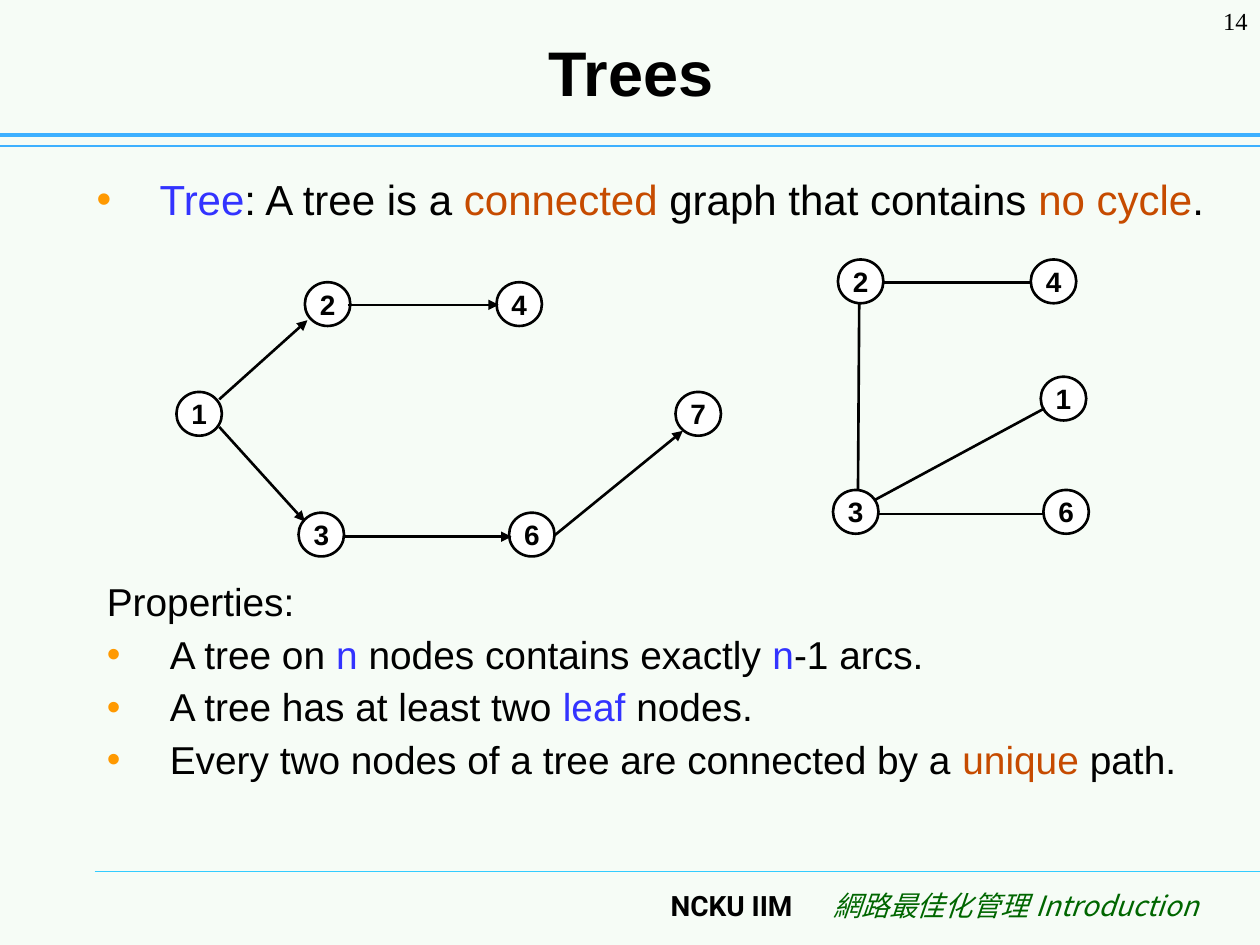
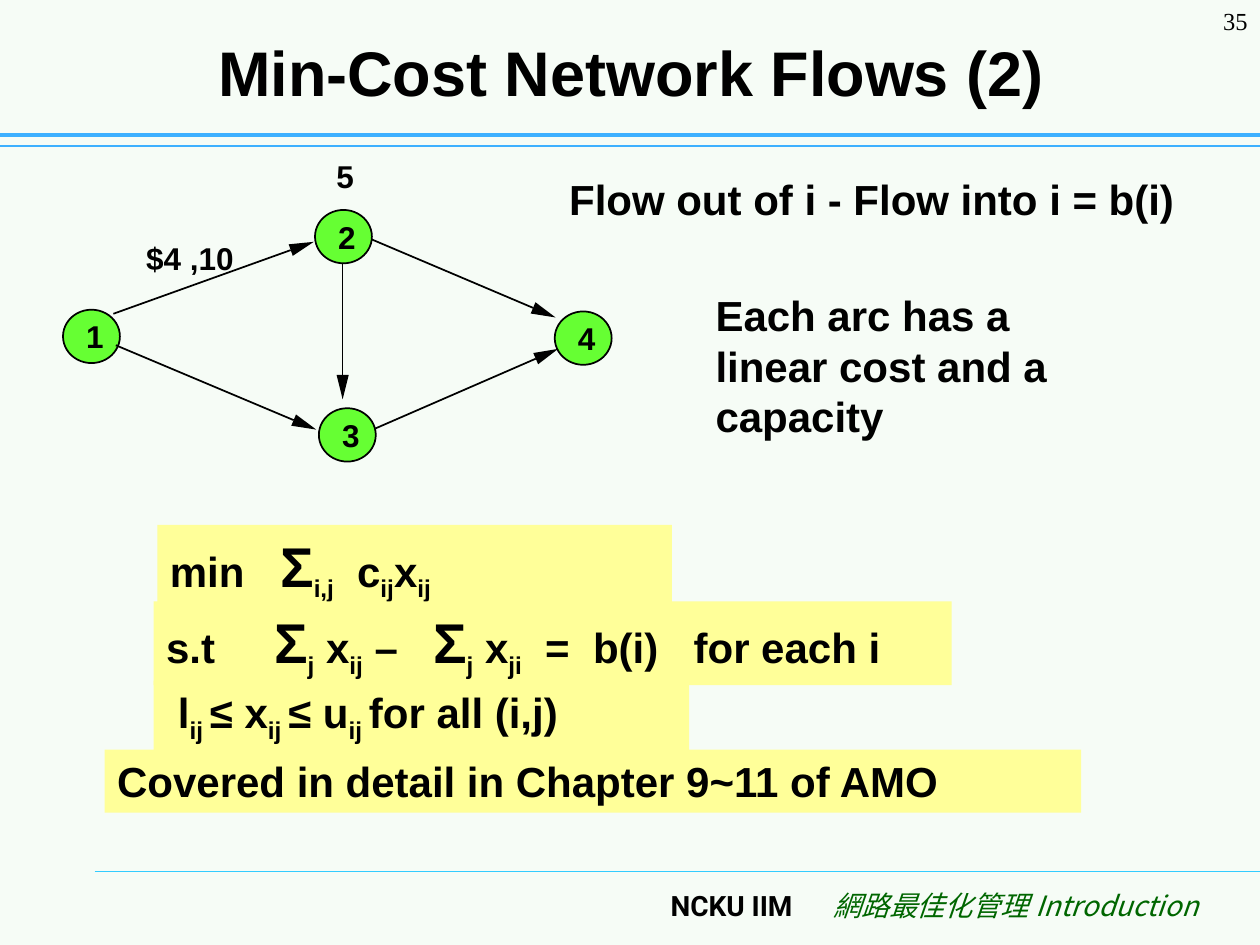
from math import hypot

from lxml import etree
from pptx import Presentation
from pptx.dml.color import RGBColor
from pptx.enum.shapes import MSO_CONNECTOR, MSO_SHAPE
from pptx.enum.text import MSO_ANCHOR, MSO_AUTO_SIZE, PP_ALIGN
from pptx.oxml.ns import qn
from pptx.util import Pt

LINE = MSO_CONNECTOR.STRAIGHT
OVAL, RECT = MSO_SHAPE.OVAL, MSO_SHAPE.RECTANGLE
TOP, MID = MSO_ANCHOR.TOP, MSO_ANCHOR.MIDDLE
LEFT, MIDST, RIGHT = PP_ALIGN.LEFT, PP_ALIGN.CENTER, PP_ALIGN.RIGHT

# Colours
PAPER = RGBColor(0xF6, 0xFC, 0xF6)
BLACK = RGBColor(0x00, 0x00, 0x00)
WHITE = RGBColor(0xFF, 0xFF, 0xFF)
SKY = RGBColor(0x3D, 0xB0, 0xFF)
CYAN = RGBColor(0x33, 0xCC, 0xFF)
BLUE = RGBColor(0x33, 0x33, 0xFF)
RUST = RGBColor(0xC6, 0x4B, 0x00)
PINE = RGBColor(0x00, 0x66, 0x00)
LIME = RGBColor(0x66, 0xFF, 0x33)
LEMON = RGBColor(0xFF, 0xFF, 0x99)

# Text formats
PLAIN = {"name": "Arial", "size": Pt(24), "bold": False}
LIST = {**PLAIN, "size": Pt(22.2)}
BOLD = {**PLAIN, "bold": True}
TITLE = {**BOLD, "size": Pt(36)}
NODE = {**BOLD, "size": Pt(16)}
LABEL = {**BOLD, "size": Pt(18)}
PAGE = {"name": "Times New Roman", "size": Pt(14)}
ORG = {"name": "Roboto", "size": Pt(16), "bold": True}
COURSE = {"name": "Noto Sans CJK SC", "size": Pt(16), "italic": True}
KEY = {"color": BLUE}
HOT = {"color": RUST}
GREEN = {"color": PINE}
SUB = {"base": "-25000"}
BIG = {"size": Pt(32)}

INSET = (7.2, 3.6, 7.2, 3.6)
FLUSH = (0, 0, 0, 0)


# ---- Text ----
def add_run(para, part, fmt):
    """A part is a string, or a string with its own format values."""
    text, extra = (part, {}) if isinstance(part, str) else part
    vals = {"color": BLACK, **fmt, **extra}
    color, base = vals.pop("color"), vals.pop("base", None)
    run = para.add_run()
    run.text = text
    for key, val in vals.items():
        setattr(run.font, key, val)
    run.font.color.rgb = color
    props = run.font._element
    if base:
        props.set("baseline", base)
    etree.SubElement(props, qn("a:ea"), typeface=vals["name"])


def add_tabs(para, stops):
    tabs = etree.SubElement(para._p.get_or_add_pPr(), qn("a:tabLst"))
    for stop in stops:
        etree.SubElement(tabs, qn("a:tab"), pos=str(Pt(stop)), algn="l")


def hang(para, dot=True):
    props = para._p.get_or_add_pPr()
    props.set("marL", str(Pt(36)))
    props.set("indent", str(-Pt(36)))
    if dot:
        tint = etree.SubElement(props, qn("a:buClr"))
        etree.SubElement(tint, qn("a:srgbClr"), val="FF9900")
        etree.SubElement(props, qn("a:buFont"), typeface="Arial")
        etree.SubElement(props, qn("a:buChar"), char="•")


def set_frame(frame, inset=INSET, anchor=TOP, wrap=True):
    sides = ("margin_left", "margin_top", "margin_right", "margin_bottom")
    vals = {"word_wrap": wrap, "auto_size": MSO_AUTO_SIZE.NONE,
            "vertical_anchor": anchor, **dict(zip(sides, map(Pt, inset)))}
    for key, val in vals.items():
        setattr(frame, key, val)


def write(frame, parts, fmt, align=LEFT):
    para = frame.paragraphs[0]
    para.alignment = align
    for part in parts:
        add_run(para, part, fmt)
    return para


def add_text(slide, area, parts, fmt, align=LEFT, inset=INSET, wrap=True):
    box = slide.shapes.add_textbox(*map(Pt, area))
    set_frame(box.text_frame, inset, wrap=wrap)
    return write(box.text_frame, parts, fmt, align)


def add_list(slide, area, head, items):
    """A heading with bulleted items below it."""
    box = slide.shapes.add_textbox(*map(Pt, area))
    frame = box.text_frame
    set_frame(frame)
    para = write(frame, [head], LIST)
    hang(para, dot=False)
    para.line_spacing = 0.9
    for parts in items:
        para = frame.add_paragraph()
        hang(para)
        para.line_spacing = 0.9
        para.space_before = Pt(6)
        for part in parts:
            add_run(para, part, LIST)


# ---- Shapes ----
def add_shape(slide, kind, area, fill, width=0):
    shape = slide.shapes.add_shape(kind, *map(Pt, area))
    shape.shadow.inherit = False
    shape.fill.solid()
    shape.fill.fore_color.rgb = fill
    if width:
        shape.line.color.rgb = BLACK
        shape.line.width = Pt(width)
    else:
        shape.line.fill.background()
    return shape


def add_node(slide, text, area, fill, width, fmt, inset=FLUSH):
    shape = add_shape(slide, OVAL, area, fill, width)
    set_frame(shape.text_frame, inset, MID, wrap=False)
    write(shape.text_frame, [text], fmt, MIDST)


def add_band(slide, area, parts, stops=(), indent=0):
    """A yellow band with one line of a model."""
    shape = add_shape(slide, RECT, area, LEMON)
    set_frame(shape.text_frame, (7.2 + indent, *INSET[1:]))
    if stops:
        add_tabs(shape.text_frame.paragraphs[0], stops)
    write(shape.text_frame, parts, BOLD)


def add_line(slide, ends, color=BLACK, width=1.5, arrow=False):
    line = slide.shapes.add_connector(LINE, *map(Pt, ends))
    line.line.color.rgb = color
    line.line.width = Pt(width)
    if arrow:
        etree.SubElement(line.line._get_or_add_ln(), qn("a:tailEnd"), type="triangle")
    etree.SubElement(line._element.spPr, qn("a:effectLst"))


def add_arc(slide, ends, length=14, half=3.5):
    """A thin line that ends in a long, slim arrowhead."""
    x1, y1, x2, y2 = ends
    dist = hypot(x2 - x1, y2 - y1)
    dx, dy = (x2 - x1) / dist, (y2 - y1) / dist
    bx, by = x2 - length * dx, y2 - length * dy
    add_line(slide, (x1, y1, bx, by), width=1)
    path = slide.shapes.build_freeform(Pt(x2), Pt(y2))
    path.add_line_segments([(Pt(bx - s * dy), Pt(by + s * dx)) for s in (half, -half)])
    head = path.convert_to_shape()
    head.shadow.inherit = False
    head.fill.solid()
    head.fill.fore_color.rgb = BLACK
    head.line.fill.background()


def add_graph(slide, nodes, edges, arrow):
    for text, x, y in nodes:
        add_node(slide, text, (x, y, 26, 25), WHITE, 1.5, NODE)
    for ends in edges:
        add_line(slide, ends, arrow=arrow)


# ---- Shared frame ----
def new_slide(deck, title, page):
    slide = deck.slides.add_slide(deck.slide_layouts[5])
    for ends, color, width in (((54, 498.2, 720, 498.2), CYAN, 0.75),
                               ((0, 83.5, 720, 83.5), SKY, 0.75),
                               ((0, 77, 720, 77), SKY, 2.5)):
        add_line(slide, ends, color, width)
    add_text(slide, (340, 504, 120, 36), ["NCKU IIM"], ORG, RIGHT)
    add_text(slide, (452, 504, 240, 36), [("網路最佳化管理 Introduction", GREEN)], COURSE, RIGHT)
    add_text(slide, (660, 0, 60, 36), [page], PAGE, RIGHT)
    head = slide.shapes.title
    head.left, head.top, head.width, head.height = map(Pt, (36.7, 9.4, 648, 62.6))
    set_frame(head.text_frame, anchor=MID)
    write(head.text_frame, [title], TITLE, MIDST)
    return slide


# ---- Slides ----
def trees(deck):
    slide = new_slide(deck, "Trees", "14")
    hang(add_text(slide, (48.2, 95.8, 654, 46),
                  [("Tree", KEY), ": A tree is a ", ("connected", HOT),
                   " graph that contains ", ("no cycle", HOT), "."], PLAIN))

    # Directed tree
    add_graph(slide,
              [("1", 100.8, 224), ("2", 174.2, 161.3), ("4", 283.7, 161.3),
               ("6", 290.9, 293), ("3", 170.6, 293), ("7", 386, 224)],
              [(125.3, 228.2, 175.7, 183), (125.3, 244, 174.2, 298),
               (198.7, 174.2, 285, 174.2), (197.3, 306.7, 292.3, 306.7),
               (316.8, 306, 390.2, 246.2)], arrow=True)

    # Undirected tree
    add_graph(slide,
              [("2", 478.8, 148.3), ("4", 589, 148.3), ("6", 596.2, 280),
               ("3", 476, 280), ("1", 594.7, 215.3)],
              [(491, 172.8, 490.3, 280), (504, 161.3, 589.7, 161.3),
               (501.8, 293.8, 597, 293.8), (597, 233.3, 499.7, 285.8)], arrow=False)

    add_list(slide, (54, 329.8, 648, 139), "Properties:", [
        ["A tree on ", ("n", KEY), " nodes contains exactly ", ("n", KEY), "-1 arcs."],
        ["A tree has at least two ", ("leaf", KEY), " nodes."],
        ["Every two nodes of a tree are connected by a ", ("unique", HOT), " path."]])


def flows(deck):
    slide = new_slide(deck, "Min-Cost Network Flows (2)", "35")
    add_text(slide, (318.2, 95.8, 383.8, 36), ["Flow out of i - Flow into i = b(i)"], BOLD)
    add_text(slide, (401.8, 162, 228.2, 93.6),
             ["Each arc has a linear cost and a capacity"], BOLD)

    # Network
    for text, x, y in (("1", 36, 177), ("2", 180, 120), ("3", 182.2, 233.3),
                       ("4", 317, 178)):
        add_node(slide, text, (x, y, 32.5, 30.5), LIME, 1, LABEL, (4, 0, 0, 0))
    for ends in ((64.8, 179.3, 179.3, 138.2), (66.2, 197.3, 180.7, 245.5),
                 (212.4, 136.8, 317.5, 181.4), (214.6, 244.8, 319, 199.4),
                 (195.8, 150.5, 195.8, 228.2)):
        add_arc(slide, ends)
    for text, area in (("$4 ,10", (83.5, 136.8, 50.4, 21.6)),
                       ("5", (192.2, 90, 10, 21.6))):
        add_text(slide, area, [text], LABEL, inset=FLUSH, wrap=False)

    # Model
    sigma, ij, j = ("Σ", BIG), ("ij", SUB), ("j", SUB)
    add_band(slide, (90, 300, 294, 48),
             ["min\t", sigma, ("i,j", SUB), "\tc", ij, "x", ij], (63, 107))
    add_band(slide, (87.8, 343.6, 456, 48),
             ["s.t\t", sigma, j, " x", ij, " –\t", sigma, j, " x", ("ji", SUB),
              "\t=\tb(i)\tfor each i"], (61.7, 152.6, 216.6, 244, 301.5))
    gap = ("ij ", SUB)
    add_band(slide, (87.8, 389, 306, 40),
             ["l", gap, "≤ x", gap, "≤ u", gap, "for all (i,j)"], indent=6.7)
    add_band(slide, (59.8, 428.4, 558, 36), ["Covered in detail in Chapter 9~11 of AMO"])


def main():
    deck = Presentation()
    deck.slide_width, deck.slide_height = Pt(720), Pt(540)
    back = deck.slide_master.background.fill
    back.solid()
    back.fore_color.rgb = PAPER
    trees(deck)
    flows(deck)
    deck.save("out.pptx")


if __name__ == "__main__":
    main()
